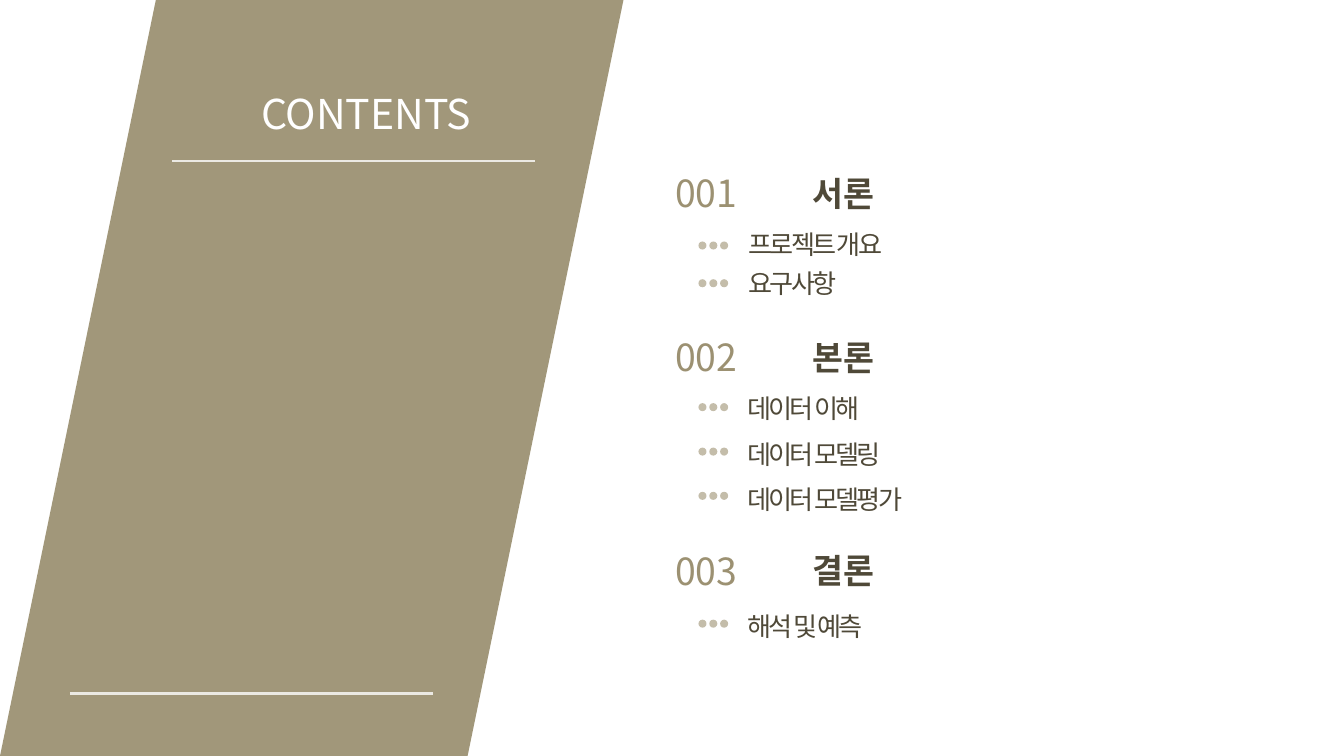
"""Builds a contents page with a slanted title panel and three numbered sections."""
from lxml import etree
from pptx import Presentation
from pptx.dml.color import RGBColor
from pptx.enum.shapes import MSO_CONNECTOR, MSO_SHAPE
from pptx.enum.text import MSO_ANCHOR, MSO_AUTO_SIZE, PP_ALIGN
from pptx.oxml.ns import qn
from pptx.util import Pt

LEFT, CENTER = PP_ALIGN.LEFT, PP_ALIGN.CENTER
TOP = MSO_ANCHOR.TOP
FIT_SHAPE = MSO_AUTO_SIZE.SHAPE_TO_FIT_TEXT
PARALLELOGRAM, OVAL = MSO_SHAPE.PARALLELOGRAM, MSO_SHAPE.OVAL
STRAIGHT = MSO_CONNECTOR.STRAIGHT

FONT = "Noto Sans CJK KR"
KHAKI = RGBColor(0x9C, 0x91, 0x72)
DARK = RGBColor(0x4F, 0x49, 0x38)
SAND = RGBColor(0xC4, 0xBD, 0xAA)
PALE = RGBColor(0xEB, 0xE9, 0xE3)
WHITE = RGBColor(0xFF, 0xFF, 0xFF)

SECTIONS = [
    ("001", "서론", 87.8, 394, [("프로젝트 개요", 118.8, 129.4), ("요구사항", 139.7, 149.6)]),
    ("002", "본론", 175.7, 393.3, [
        ("데이터 이해", 206.6, 216), ("데이터 모델링", 231.1, 239.8), ("데이터 모델평가", 255.6, 263.5)]),
    ("003", "결론", 290, 393.3, [("해석 및 예측", 323.3, 332)]),
]


def write(box, text, size, color, align=CENTER, bold=False, spacing=0):
    frame = box.text_frame
    frame.word_wrap = True
    frame.auto_size = FIT_SHAPE
    frame.vertical_anchor = TOP
    para = frame.paragraphs[0]
    para.alignment = align
    span = para.add_run()
    span.text = text
    span.font.name = FONT
    span.font.size = Pt(size)
    span.font.bold = bold
    span.font.color.rgb = color
    properties = span.font._element
    latin = properties.find(qn("a:latin"))
    east_asian = etree.Element(qn("a:ea"), typeface=FONT)
    latin.addnext(east_asian)
    if spacing:
        properties.set("spc", str(int(spacing * 100)))


def paint(shape, color):
    shape.shadow.inherit = False
    shape.fill.solid()
    shape.fill.fore_color.rgb = color
    shape.line.fill.background()


deck = Presentation()
deck.slide_width, deck.slide_height = Pt(720), Pt(405)
page = deck.slides.add_slide(deck.slide_layouts[5])

panel = page.shapes.add_shape(PARALLELOGRAM, Pt(0), Pt(0), Pt(334), Pt(405))
paint(panel, KHAKI)
panel_color = panel._element.spPr.find(qn("a:solidFill"))[0]
etree.SubElement(panel_color, qn("a:alpha"), val="94000")

title = page.shapes.title
title.left, title.top, title.width, title.height = Pt(90), Pt(44), Pt(212.4), Pt(34)
write(title, "CONTENTS", 22, WHITE)
panel._element.addnext(title._element)

for left, top in [(92.2, 86.4), (37.4, 371.5)]:
    rule = page.shapes.add_connector(STRAIGHT, Pt(left), Pt(top), Pt(left + 194.4), Pt(top))
    rule.line.color.rgb = PALE
    rule.line.width = Pt(1.25)
    etree.SubElement(rule._element.spPr, qn("a:effectLst"))

for number, heading, top, item_left, items in SECTIONS:
    section = page.shapes.add_group_shape().shapes
    number_box = section.add_textbox(Pt(304.6), Pt(top), Pt(147.6), Pt(31.5))
    write(number_box, number, 20, KHAKI)
    heading_box = section.add_textbox(Pt(409), Pt(top + 1.2), Pt(85.7), Pt(29))
    write(heading_box, heading, 18, DARK, bold=True)
    for label, item_top, dot_top in items:
        item_box = section.add_textbox(Pt(item_left), Pt(item_top), Pt(216), Pt(24.2))
        write(item_box, label, 14, DARK, align=LEFT, spacing=-1.5)
        for column in range(3):
            dot = section.add_shape(OVAL, Pt(374.2 + 5.8 * column), Pt(dot_top), Pt(4.3), Pt(4.3))
            paint(dot, SAND)

deck.save("out.pptx")
